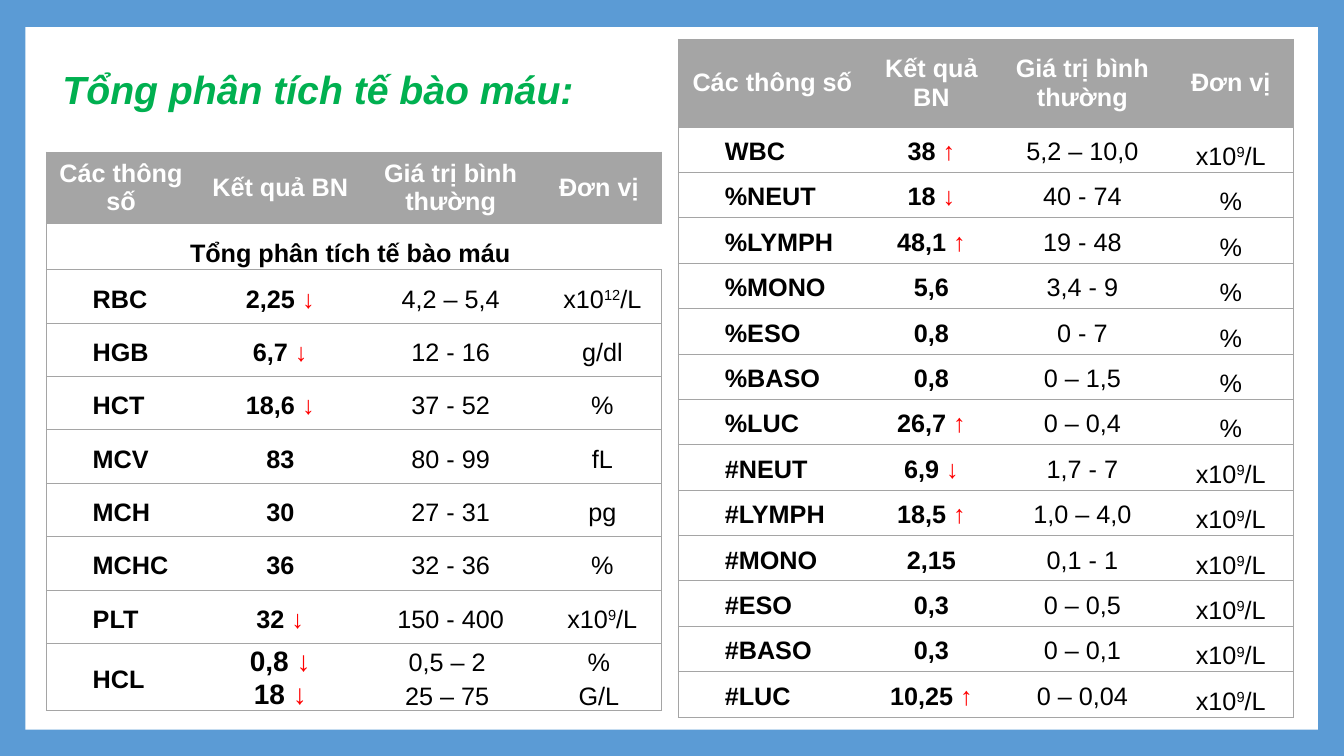
from lxml.etree import SubElement
from pptx import Presentation
from pptx.dml.color import RGBColor as Rgb
from pptx.enum.shapes import MSO_SHAPE as Shape
from pptx.enum.text import MSO_ANCHOR as Anchor, MSO_AUTO_SIZE as AutoSize, PP_ALIGN as Align
from pptx.oxml.ns import qn
from pptx.util import Inches, Pt

COLORS = {"frame": "5B9BD5", "panel": "FFFFFF", "title": "00B050", "grid": "A5A5A5",
          "heading": "FFFFFF", "body": "000000", "arrow": "FF0000"}
WIDTH, HEIGHT = Inches(13.33), Inches(7.5)
PLAIN_TABLE = "{2D5ABB26-0587-4C30-8999-92F81FD0307C}"
HEADINGS = ("Các thông số", "Kết quả BN", "Giá trị bình thường", "Đơn vị")

RED_CELLS = [
    ("Tổng phân tích tế bào máu ",),
    ("RBC", "2,25 ^↓", "4,2 – 5,4", " x10^12^/L"),
    ("HGB", "6,7 ^↓", "12 - 16", " g/dl"),
    ("HCT", "18,6 ^↓", "37 - 52", " %"),
    ("MCV", "83", "80 - 99", " fL"),
    ("MCH", "30", "27 - 31", " pg"),
    ("MCHC", "36", "32 - 36", " %"),
    ("PLT", "32 ^↓", "150 - 400", " x10^9^/L"),
    ("HCL", "0,8 ^↓\n18 ^↓", "0,5 – 2 \n25 – 75 ", "%\nG/L"),
]
WHITE_CELLS = [
    ("WBC", "38 ^↑", "5,2 – 10,0", "x10^9^/L"),
    ("%NEUT", "18 ^↓", "40 - 74", "%"),
    ("%LYMPH", "48,1 ^↑", "19 - 48", "%"),
    ("%MONO", "5,6", "3,4 - 9", "%"),
    ("%ESO", "0,8", "0 - 7", "%"),
    ("%BASO", "0,8", "0 – 1,5", "%"),
    ("%LUC", "26,7 ^↑", "0 – 0,4", "%"),
    ("#NEUT", "6,9 ^↓", "1,7 - 7", "x10^9^/L"),
    ("#LYMPH", "18,5 ^↑", "1,0 – 4,0", "x10^9^/L"),
    ("#MONO", "2,15", "0,1 - 1", "x10^9^/L"),
    ("#ESO", "0,3", "0 – 0,5", "x10^9^/L"),
    ("#BASO", "0,3", "0 – 0,1", "x10^9^/L"),
    ("#LUC", "10,25 ^↑", "0 – 0,04", "x10^9^/L"),
]


def color(name):
    return Rgb.from_string(COLORS[name])


def percent_box(left, top, width, height):
    return [int(share * side / 100) for share, side in
            ((left, WIDTH), (top, HEIGHT), (width, WIDTH), (height, HEIGHT))]


def apply(target, values):
    for name, value in values.items():
        setattr(target, name, value)


def write_line(paragraph, line, ink, size=18, bold=False, italic=False):
    for position, piece in enumerate(line.split("^")):
        run = paragraph.add_run()
        run.text = piece
        apply(run.font, {"name": "Arial", "size": Pt(size), "bold": bold, "italic": italic})
        is_arrow = piece in ("↑", "↓")
        run.font.color.rgb = color("arrow" if is_arrow else ink)
        if position % 2 and not is_arrow:
            run.font._element.set("baseline", "30000")


def rule_cell(cell, sides):
    properties = cell._tc.get_or_add_tcPr()
    for side in sides:
        border = SubElement(properties, qn(f"a:ln{side}"), w=str(Pt(0.79)))
        ink = SubElement(border, qn("a:solidFill"))
        SubElement(ink, qn("a:srgbClr"), val=COLORS["grid"])


def fill_cell(cell, text, spacing, ink="body", size=18, bold=False, indent=False):
    apply(cell, {"margin_left": Inches(0.07), "margin_right": Inches(0.07),
                 "margin_top": 0, "margin_bottom": 0, "vertical_anchor": Anchor.MIDDLE})
    for position, line in enumerate(text.split("\n")):
        frame = cell.text_frame
        paragraph = frame.add_paragraph() if position else frame.paragraphs[0]
        apply(paragraph, {"line_spacing": spacing,
                          "alignment": Align.LEFT if indent else Align.CENTER})
        if indent:
            paragraph._p.get_or_add_pPr().set("indent", str(Inches(0.39)))
        write_line(paragraph, line, ink, size, bold)


def add_results(slide, box, column_shares, row_shares, results, spacings):
    left, top, width, height = box
    table_frame = slide.shapes.add_table(len(results) + 1, len(HEADINGS), *box)
    table = table_frame.table
    table.horz_banding = False
    table._tbl.tblPr.find(qn("a:tableStyleId")).text = PLAIN_TABLE
    for lines, name, shares, total in ((table.columns, "width", column_shares, width),
                                       (table.rows, "height", row_shares, height)):
        for line, share in zip(lines, shares):
            setattr(line, name, int(total * share / sum(shares)))

    last = len(HEADINGS) - 1
    for row, texts in enumerate([HEADINGS] + results):
        for column in range(len(HEADINGS)):
            cell = table.cell(row, column)
            rule_cell(cell, ["L"] * (column == 0) + ["R"] * (column == last) + ["T", "B"])
            if row == 0:
                cell.fill.solid()
                cell.fill.fore_color.rgb = color("grid")
                fill_cell(cell, texts[column], 1.0, "heading", bold=True)
            elif len(texts) > 1:
                cell.fill.background()
                tall_result = column == 1 and "\n" in texts[column]
                fill_cell(cell, texts[column], spacings[column], size=20 if tall_result else 18,
                          bold=column < 2, indent=column == 0)
        if len(texts) == 1:
            section = table.cell(row, 0)
            section.merge(table.cell(row, last))
            section.fill.background()
            fill_cell(section, texts[0], 1.5, bold=True)


def add_title(slide, box):
    title = slide.shapes.title
    apply(title, dict(zip(("left", "top", "width", "height"), box)))
    apply(title.text_frame, {"word_wrap": False, "auto_size": AutoSize.SHAPE_TO_FIT_TEXT,
                             "vertical_anchor": Anchor.TOP})
    paragraph = title.text_frame.paragraphs[0]
    apply(paragraph, {"alignment": Align.LEFT, "line_spacing": 1.5, "space_before": Pt(0)})
    write_line(paragraph, "Tổng phân tích tế bào máu:", "title", 28, True, True)


def add_panel(slide, box):
    slide.background.fill.solid()
    slide.background.fill.fore_color.rgb = color("frame")
    panel = slide.shapes.add_shape(Shape.RECTANGLE, *box)
    panel.shadow.inherit = False
    panel.fill.solid()
    panel.fill.fore_color.rgb = color("panel")
    panel.line.fill.background()
    slide.shapes.title._element.addprevious(panel._element)


def main():
    deck = Presentation()
    apply(deck, {"slide_width": WIDTH, "slide_height": HEIGHT})
    slide = deck.slides.add_slide(deck.slide_layouts[5])
    add_panel(slide, percent_box(1.88, 3.6, 96.17, 92.93))
    add_title(slide, percent_box(3.9, 4.8, 39.98, 10.8))
    add_results(slide, percent_box(3.45, 20.13, 45.76, 73.8), (1.48, 1.68, 1.7, 1.24),
                [0.71, 0.46] + [0.53] * 7 + [0.66], RED_CELLS, [Pt(24)] * 4)
    add_results(slide, percent_box(50.48, 5.2, 45.76, 89.6), (1.86, 1.29, 1.7, 1.24),
                [0.87] + [0.45] * 13, WHITE_CELLS, [1.15] * 3 + [1.5])
    deck.save("out.pptx")


if __name__ == "__main__":
    main()
